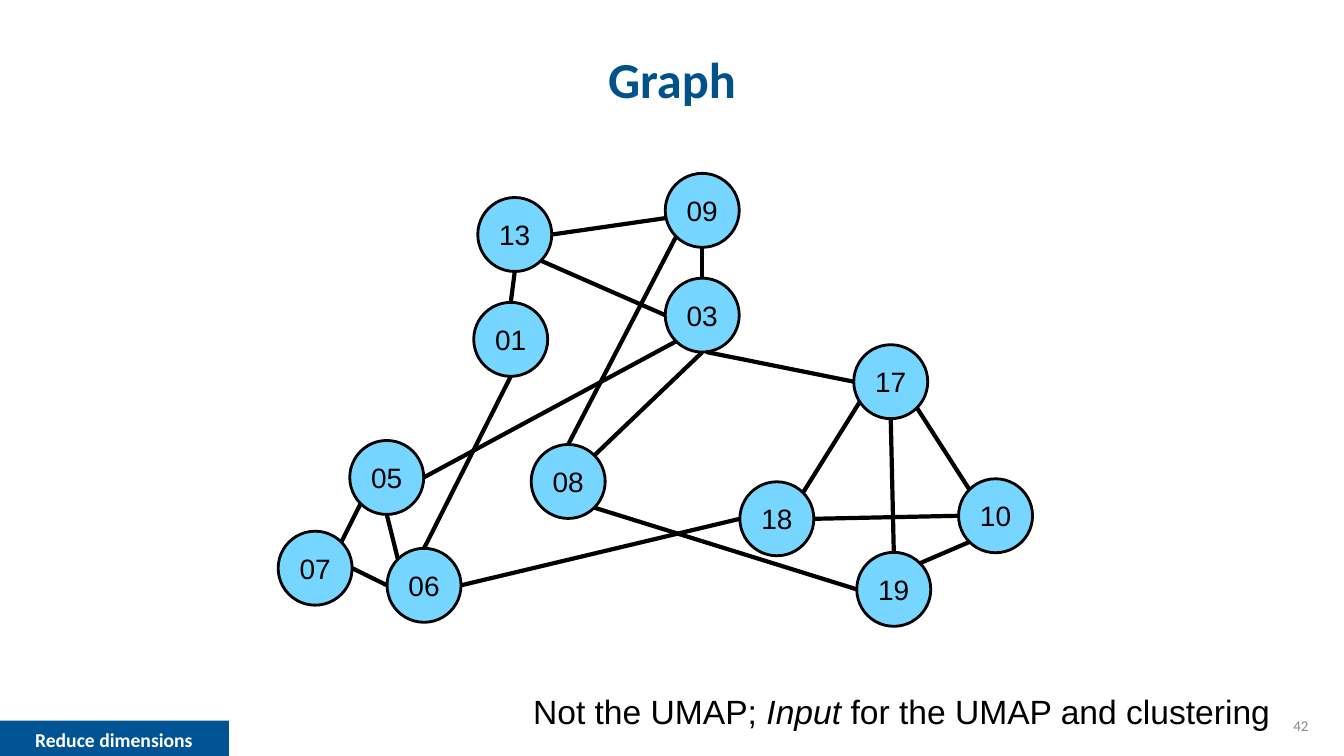
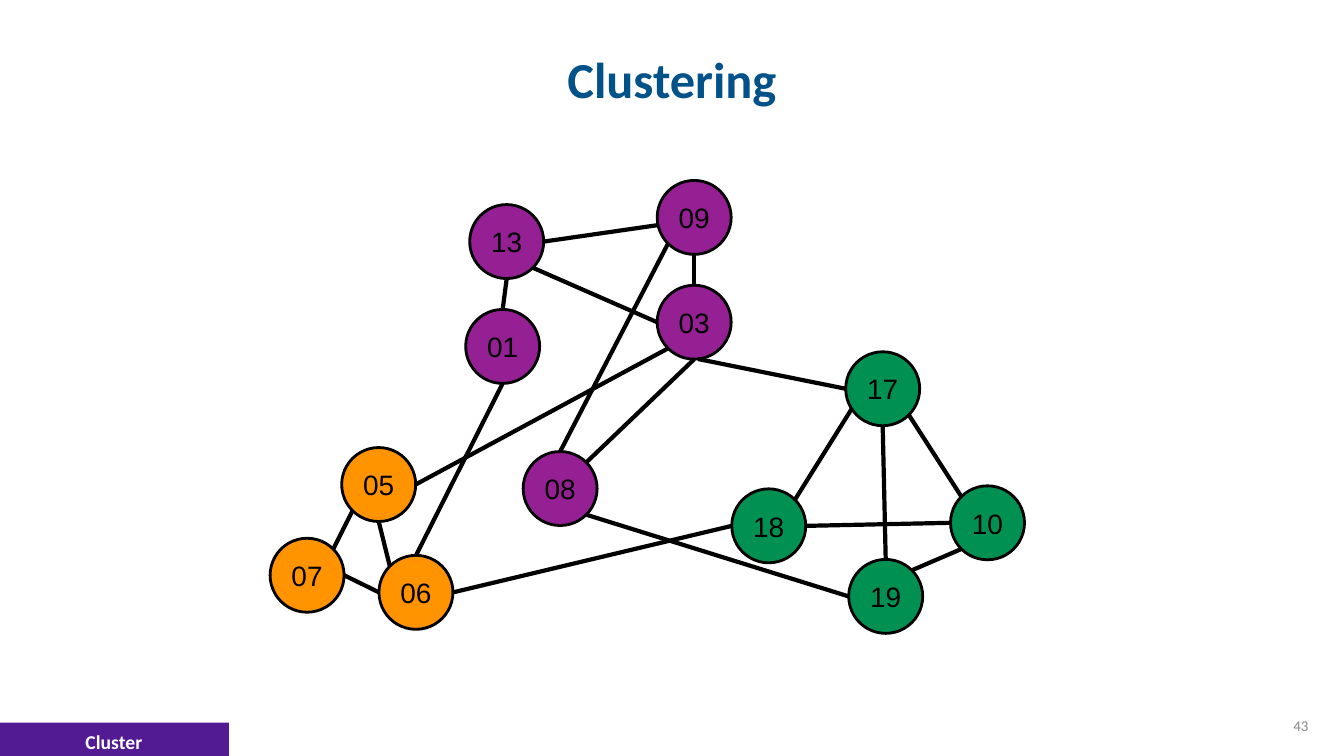
import math
import lxml.etree
import pptx
import pptx.dml.color
import pptx.enum.shapes
import pptx.enum.text
import pptx.oxml.ns
import pptx.util

RGB = pptx.dml.color.RGBColor
ALIGN = pptx.enum.text.PP_ALIGN
ANCHOR = pptx.enum.text.MSO_ANCHOR
SHAPE = pptx.enum.shapes.MSO_SHAPE

TITLE = RGB(0x02, 0x52, 0x8A)
BLUE = RGB(0x00, 0x54, 0x93)
VIOLET = RGB(0x52, 0x1B, 0x93)
SKY = RGB(0x76, 0xD6, 0xFF)
PURPLE = RGB(0x94, 0x20, 0x93)
ORANGE = RGB(0xFF, 0x93, 0x00)
GREEN = RGB(0x00, 0x90, 0x51)
GREY = RGB(0x88, 0x88, 0x88)
BLACK = RGB(0x00, 0x00, 0x00)
WHITE = RGB(0xFF, 0xFF, 0xFF)

COLS, ROWS = 133.33, 75
NODE = 7.34

CLUSTERS = (
    (PURPLE, {"01": (19.4, 12.8), "03": (38.4, 10.4), "09": (38.4, 0),
              "08": (25.1, 26.9), "13": (19.8, 2.4)}),
    (ORANGE, {"05": (7.1, 26.5), "07": (0, 35.5), "06": (10.8, 37.2)}),
    (GREEN, {"10": (67.5, 30.3), "17": (57.1, 17), "19": (57.4, 37.6),
             "18": (45.8, 30.6)}),
)

E, SE, S, SW, W, NW, N, NE = range(0, 360, 45)
EDGES = (
    ("13", S, "01", N), ("03", W, "13", SE), ("13", E, "09", 168),
    ("03", N, "09", S), ("03", 84, "17", W), ("17", S, "19", N),
    ("17", 147, "18", NE), ("18", E, "10", W), ("17", SE, "10", NW),
    ("10", SW, "19", NE), ("19", W, "08", SE), ("01", S, "06", N),
    ("05", S, "06", NW), ("05", SW, "07", NE), ("07", E, "06", W),
    ("03", SW, "05", E), ("03", S, "08", NE), ("09", SW, "08", N),
    ("06", E, "18", W),
)


def cells(*sizes):
    """Turn grid cells, ten to the inch, into lengths."""
    return [pptx.util.Inches(size / 10) for size in sizes]


def write(shape, *runs, size, font="Calibri", color=BLACK, bold=False,
          align=ALIGN.CENTER, anchor=ANCHOR.MIDDLE, pad=(1, 0.5), wrap=True):
    """Fill a shape with one paragraph of (text, italic) runs."""
    frame = shape.text_frame
    frame.word_wrap = wrap
    frame.auto_size = pptx.enum.text.MSO_AUTO_SIZE.NONE
    frame.vertical_anchor = anchor
    frame.margin_left = frame.margin_right = cells(pad[0])[0]
    frame.margin_top = frame.margin_bottom = cells(pad[1])[0]
    para = frame.paragraphs[0]
    para.alignment = align
    for text, slant in runs:
        run = para.add_run()
        run.text = text
        run.font.size = pptx.util.Pt(size)
        run.font.name = font
        run.font.color.rgb = color
        run.font.bold = bold
        run.font.italic = slant


def solid(shapes, kind, box, fill, line=None):
    """Add a filled shape with an optional black outline."""
    shape = shapes.add_shape(kind, *cells(*box))
    shape.shadow.inherit = False
    shape.fill.solid()
    shape.fill.fore_color.rgb = fill
    if line:
        shape.line.color.rgb = BLACK
        shape.line.width = pptx.util.Pt(line)
    else:
        shape.line.fill.background()
    return shape


def link(shapes, start, end):
    """Draw a straight edge between two grid points."""
    edge = shapes.add_connector(pptx.enum.shapes.MSO_CONNECTOR.STRAIGHT,
                                *cells(*start, *end))
    edge.line.color.rgb = BLACK
    edge.line.width = pptx.util.Pt(3)
    lxml.etree.SubElement(edge._element.spPr,
                          pptx.oxml.ns.qn("a:effectLst"))


def graph(slide, left, top, fill=None):
    """Draw the graph from its top left corner, in one fill or by cluster."""
    shapes = slide.shapes.add_group_shape().shapes
    spots = {}
    for color, nodes in CLUSTERS:
        for name, (col, row) in nodes.items():
            x, y = left + col, top + row
            spots[name] = x + NODE / 2, y + NODE / 2
            node = solid(shapes, SHAPE.OVAL, (x, y, NODE, NODE),
                         fill or color, line=2)
            write(node, (name, False), size=20, font="Arial", wrap=False)

    def rim(name, angle):
        """Find the point on a node's rim at an angle."""
        x, y = spots[name]
        turn = math.radians(angle)
        return (x + NODE / 2 * math.cos(turn), y + NODE / 2 * math.sin(turn))

    for first, out, last, into in EDGES:
        link(shapes, rim(first, out), rim(last, into))


def band(slide, text, fill, top):
    """Place the section label in the lower left corner."""
    shape = solid(slide.shapes, SHAPE.RECTANGLE, (-0.1, top, 22.8, 3.8), fill)
    write(shape, (text, False), size=14, color=WHITE, bold=True, pad=(1, 1))


def note(slide, *runs):
    """Place the remark below the graph."""
    box = slide.shapes.add_textbox(*cells(51.9, 68.1, 81, 5))
    write(box, *runs, size=24, font="Arial", align=ALIGN.LEFT,
          anchor=ANCHOR.TOP)


def page(deck, title, number):
    """Add a slide with its title and number."""
    slide = deck.slides.add_slide(deck.slide_layouts[5])
    head = slide.shapes.title
    head.left, head.top, head.width, head.height = cells(0, 1.5, COLS, 12.5)
    write(head, (title, False), size=36, color=TITLE, bold=True,
          pad=(0.7, 0.4))
    box = slide.shapes.add_textbox(*cells(115, 70.6, 15.8, 3.8))
    write(box, (str(number), False), size=10.7, color=GREY,
          align=ALIGN.RIGHT, anchor=ANCHOR.TOP)
    return slide


def main():
    """Build and save the deck."""
    deck = pptx.Presentation()
    deck.slide_width, deck.slide_height = cells(COLS, ROWS)

    slide = page(deck, "Graph", 42)
    band(slide, "Reduce dimensions", BLUE, 71.5)
    graph(slide, 27.6, 17.2, SKY)
    note(slide, ("Not the UMAP; ", False), ("Input", True),
         (" for the UMAP and clustering", False))

    slide = page(deck, "Clustering", 43)
    graph(slide, 26.8, 17.9)
    band(slide, "Cluster", VIOLET, 71.7)

    deck.save("out.pptx")


if __name__ == "__main__":
    main()
